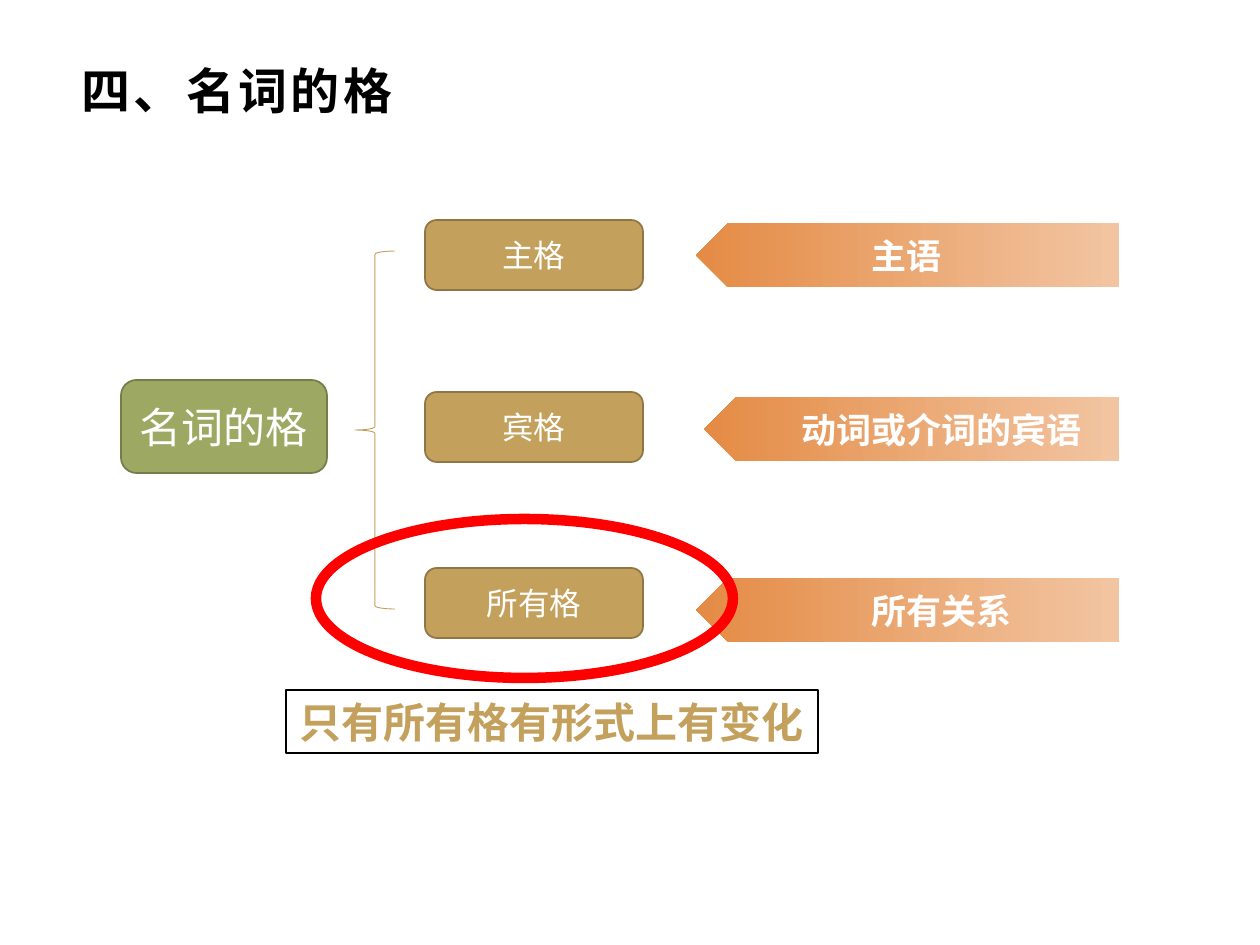
import pptx
import pptx.util
import pptx.dml.color
import pptx.enum.shapes
import pptx.enum.text
import pptx.oxml
import pptx.oxml.ns

PX = 914400 / 126
FONT = "Arial"
GOLD = "C3A05C"
WHITE = "FFFFFF"
KIND = pptx.enum.shapes.MSO_SHAPE
ALIGN = pptx.enum.text.PP_ALIGN
ANCHOR = pptx.enum.text.MSO_ANCHOR

# case, its use, card top, arrow left, arrow top, label left, label width
ROWS = [
    ("主格", "主语", 220, 696, 223, 859, 132),
    ("宾格", "动词或介词的宾语", 392, 704, 397, 789, 312),
    ("所有格", "所有关系", 568, 696, 578, 859, 188),
]
RIGHT = 1119


def emu(*sizes):
    return [pptx.util.Emu(round(size * PX)) for size in sizes]


def color(code):
    return pptx.dml.color.RGBColor.from_string(code)


def write(shape, text, size=18, ink=WHITE, bold=False, space=0,
          align=ALIGN.LEFT, anchor=ANCHOR.TOP, wrap=True):
    frame = shape.text_frame
    frame.word_wrap = wrap
    frame.vertical_anchor = anchor
    para = frame.paragraphs[0]
    para.alignment = align
    run = para.add_run()
    run.text = text
    font = run.font
    font.name = FONT
    font.size = pptx.util.Pt(size)
    font.bold = bold
    font.color.rgb = color(ink)
    props = run._r.get_or_add_rPr()
    if space:
        props.set("spc", str(space * 100))
    east = pptx.oxml.ns.qn("a:ea")
    props.find(pptx.oxml.ns.qn("a:latin")).addnext(
        props.makeelement(east, {"typeface": FONT}))


def draw(slide, kind, box, fill=None, line=None, width=1):
    shape = slide.shapes.add_shape(kind, *emu(*box))
    shape.shadow.inherit = False
    if fill:
        shape.fill.solid()
        shape.fill.fore_color.rgb = color(fill)
    else:
        shape.fill.background()
    if line:
        shape.line.color.rgb = color(line)
        shape.line.width = pptx.util.Pt(width)
    else:
        shape.line.fill.background()
    return shape


def label(slide, box, text, **form):
    write(slide.shapes.add_textbox(*emu(*box)), text, **form)


def card(slide, box, text, fill, line, size):
    shape = draw(slide, KIND.ROUNDED_RECTANGLE, box, fill, line)
    write(shape, text, size=size, align=ALIGN.CENTER, anchor=ANCHOR.MIDDLE)


def arrow(slide, box, text, left, width):
    """Left-pointing gradient arrow; the label starts at left within it."""
    shape = draw(slide, KIND.PENTAGON, box)
    shape.rotation = 180
    shape.fill.gradient()
    shape.fill.gradient_angle = 0
    for stop, code in zip(shape.fill.gradient_stops, ("F2C5A2", "E48B45")):
        stop.color.rgb = color(code)
    x, y = box[:2]
    label(slide, (x + left, y + 5, width, 55), text, size=20, bold=True)


def tree(slide, box):
    """Root card and the brace that opens to the cases."""
    x, y, w, h = box
    card(slide, (x, y + 129, 206, 93), "名词的格", "9DA963", "747D49", 24)
    draw(slide, KIND.LEFT_BRACE, (x + w - 40, y, 40, h), line=GOLD, width=0.5)


def cases(slide):
    for name, use, top, left, level, start, width in ROWS:
        card(slide, (425, top, 218, 70), name, GOLD, "907644", 18)
        arrow(slide, (left, level, RIGHT - left, 64), use, start - left, width)


def remark(slide, box):
    """Ring around the last case, with the note below it."""
    x, y, w, h = box
    draw(slide, KIND.OVAL, (x + 30, y, 417, 159), line="FF0000", width=6)
    note = draw(slide, KIND.RECTANGLE, (x, y + h - 63, w, 63),
                line="000000", width=0.75)
    write(note, "只有所有格有形式上有变化", size=24, ink=GOLD, bold=True,
          align=ALIGN.CENTER, wrap=False)


def main():
    deck = pptx.Presentation()
    deck.slide_width, deck.slide_height = emu(1260, 945)
    slide = deck.slides.add_slide(deck.slide_layouts[6])
    label(slide, (69, 60, 1121, 60), "四、名词的格", size=28, ink="000000",
          bold=True, space=2, anchor=ANCHOR.MIDDLE)
    tree(slide, (121, 251, 274, 358))
    cases(slide)
    remark(slide, (286, 519, 532, 234))
    deck.save("out.pptx")


if __name__ == "__main__":
    main()
